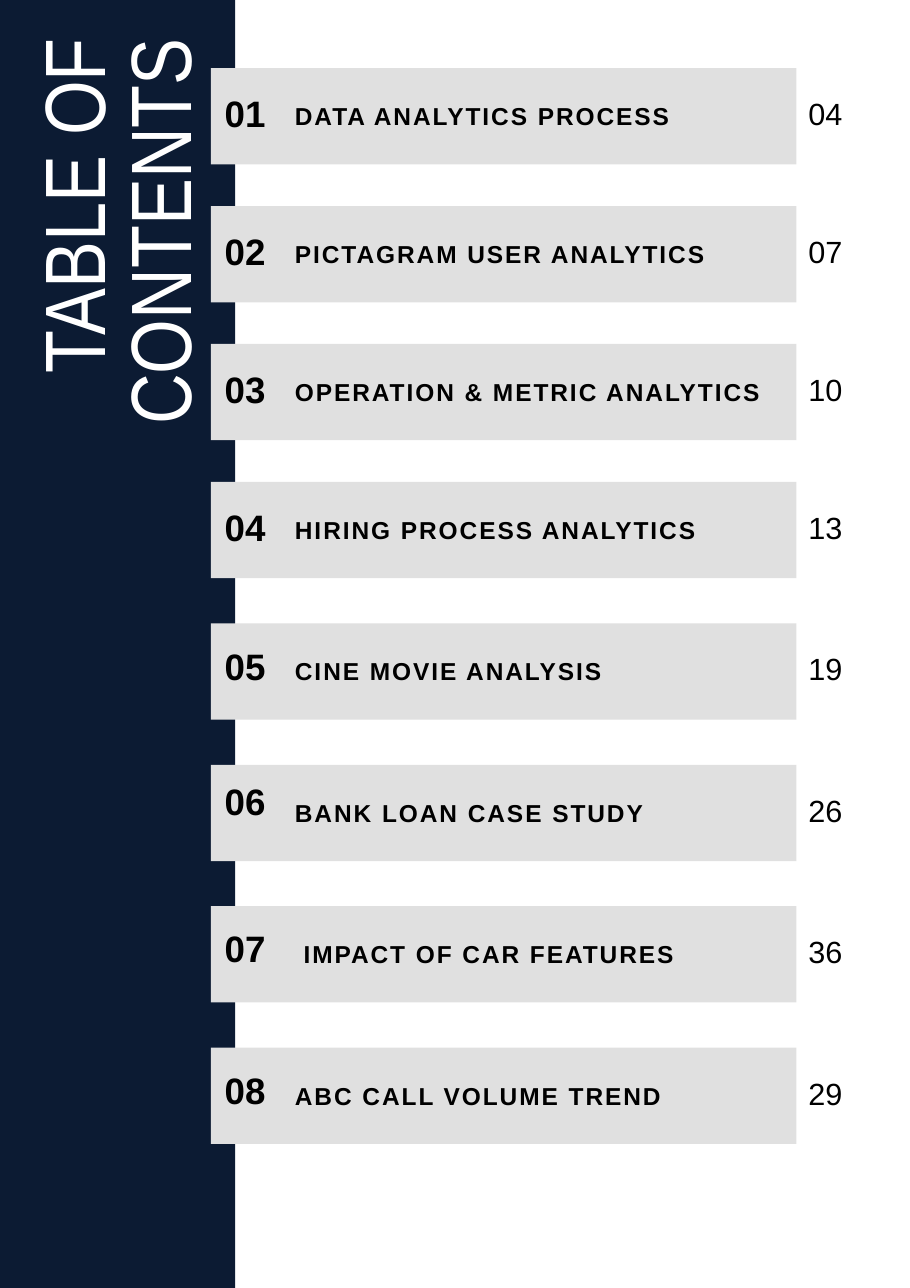
"""Build a portrait table of contents with a rotated title on a navy sidebar."""
from dataclasses import dataclass

from pptx import Presentation
from pptx.dml.color import RGBColor
from pptx.enum.shapes import MSO_SHAPE as Preset
from pptx.enum.text import MSO_ANCHOR as Anchor, MSO_AUTO_SIZE as AutoSize, PP_ALIGN as Align
from pptx.shapes.autoshape import Shape
from pptx.slide import Slide
from pptx.text.text import TextFrame
from pptx.util import Cm, Pt

NAVY = RGBColor(0x0C, 0x1B, 0x33)
GREY = RGBColor(0xE0, 0xE0, 0xE0)
BLACK = RGBColor(0x00, 0x00, 0x00)
WHITE = RGBColor(0xFF, 0xFF, 0xFF)

PAGE_WIDTH, PAGE_HEIGHT = 20.98, 29.69
FIRST_TOP = 1.57
UPPER_PITCH, LOWER_PITCH = 3.18, 3.26
UPPER_STEPS = 3


@dataclass(frozen=True)
class Chapter:
    """A contents entry, with the drop of its number and the indent of its heading in cm."""
    heading: str
    page: str
    number_drop: float = 0.7
    indent: float = 0


@dataclass(frozen=True)
class TextStyle:
    """The type settings of one text part."""
    size: float
    leading: float
    bold: bool = False
    color: RGBColor = BLACK
    font: str = "Arial"
    tracking: float = 0


NUMBER = TextStyle(24, 24, bold=True)
HEADING = TextStyle(16, 19.2, bold=True, tracking=1.3)
PAGE = TextStyle(20, 20)
TITLE = TextStyle(56, 56, color=WHITE, font="Arial Narrow")

CHAPTERS = [
    Chapter("DATA ANALYTICS PROCESS", "04"),
    Chapter("PICTAGRAM USER ANALYTICS", "07"),
    Chapter("OPERATION & METRIC ANALYTICS", "10"),
    Chapter("HIRING PROCESS ANALYTICS", "13"),
    Chapter("CINE MOVIE ANALYSIS", "19", number_drop=0.63),
    Chapter("BANK LOAN CASE STUDY", "26", number_drop=0.5),
    Chapter("IMPACT OF CAR FEATURES", "36", number_drop=0.62, indent=0.2),
    Chapter("ABC CALL VOLUME TREND", "29", number_drop=0.63),
]


def write(frame: TextFrame, text: str, style: TextStyle, align: Align = Align.LEFT) -> None:
    """Fill a text frame with one styled paragraph."""
    frame.margin_left = frame.margin_right = frame.margin_top = frame.margin_bottom = 0
    frame.word_wrap = True
    frame.auto_size = AutoSize.NONE
    frame.vertical_anchor = Anchor.TOP
    paragraph = frame.paragraphs[0]
    run = paragraph.add_run()
    run.text = text
    if style.tracking:
        run._r.get_or_add_rPr().set("spc", str(round(style.tracking * 100)))
    paragraph.alignment = align
    paragraph.line_spacing = Pt(style.leading)
    paragraph.space_before = Pt(0)
    font = paragraph.font
    font.name, font.size, font.bold = style.font, Pt(style.size), style.bold
    font.color.rgb = style.color


def add_text(slide: Slide, left: float, top: float, width: float, height: float,
             text: str, style: TextStyle) -> None:
    """Add a text box measured in cm."""
    box = slide.shapes.add_textbox(Cm(left), Cm(top), Cm(width), Cm(height))
    write(box.text_frame, text, style)


def add_block(slide: Slide, left: float, top: float, width: float, height: float,
              color: RGBColor) -> Shape:
    """Add a plain filled rectangle measured in cm."""
    block = slide.shapes.add_shape(Preset.RECTANGLE, Cm(left), Cm(top), Cm(width), Cm(height))
    block.shadow.inherit = False
    block.fill.solid()
    block.fill.fore_color.rgb = color
    block.line.fill.background()
    return block


def add_chapter(slide: Slide, index: int, chapter: Chapter) -> None:
    """Add the bar, number, heading and page of one chapter."""
    upper = min(index, UPPER_STEPS)
    top = FIRST_TOP + upper * UPPER_PITCH + (index - upper) * LOWER_PITCH
    add_block(slide, 4.86, top, 13.5, 2.22, GREY)
    add_text(slide, 5.18, top + chapter.number_drop, 1.4, 0.92, f"{index + 1:02}", NUMBER)
    add_text(slide, 6.8 + chapter.indent, top + 0.76, 10.92, 0.64, chapter.heading, HEADING)
    add_text(slide, 18.64, top + 0.76, 1.4, 0.71, chapter.page, PAGE)


def main() -> None:
    """Build and save the slide."""
    deck = Presentation()
    deck.slide_width, deck.slide_height = Cm(PAGE_WIDTH), Cm(PAGE_HEIGHT)
    slide = deck.slides.add_slide(deck.slide_layouts[5])
    title = slide.shapes.title
    title.left, title.top, title.width, title.height = Cm(-5.39), Cm(7.13), Cm(16.5), Cm(4)
    title.rotation = 270
    write(title.text_frame, "TABLE OF CONTENTS", TITLE, Align.RIGHT)
    sidebar = add_block(slide, 0, 0, 5.42, PAGE_HEIGHT, NAVY)
    title._element.addprevious(sidebar._element)
    for index, chapter in enumerate(CHAPTERS):
        add_chapter(slide, index, chapter)
    deck.save("out.pptx")


if __name__ == "__main__":
    main()
